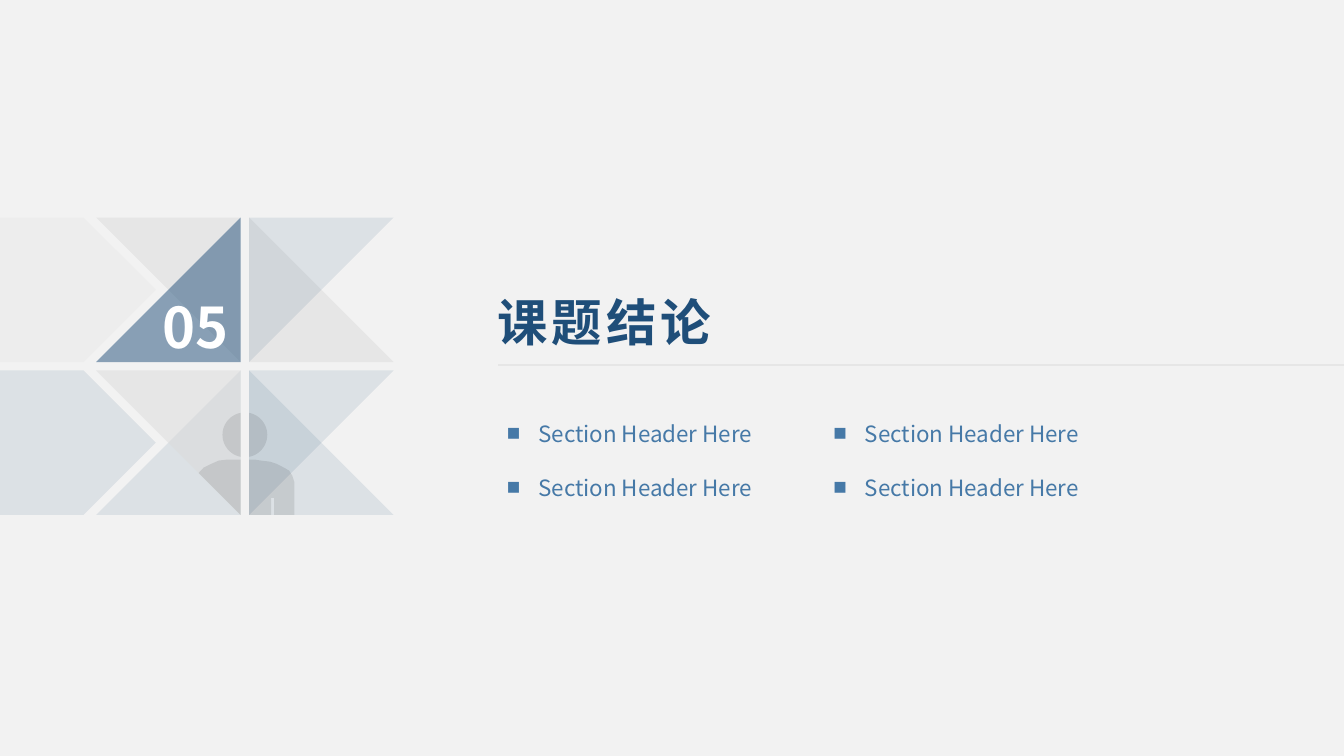
import math
import pptx
import pptx.util
import pptx.dml.color
import pptx.enum.shapes
import pptx.oxml
import pptx.oxml.ns
from lxml import etree

Pt = pptx.util.Pt
qn = pptx.oxml.ns.qn


class Theme:
    back, navy, blue, white = "F2F2F2", "1F4E79", "4679A7", "FFFFFF"
    pale, gray, mist, dark, rule = "D9D9D9", "7F7F7F", "DBDBDB", "0D0D0D", "E6E6E6"
    font = "Noto Sans CJK SC"
    title, number, item = 36, 40, 16


TILE, GAP = 103.2, 6
STEP = TILE + GAP

# Corners of a tile, in tile units
NW, NE, SE, SW = (0, 0), (1, 0), (1, 1), (0, 1)
# Column, row, corners, colour, opacity in percent
FACETS = [
    (0, 0, (SE, NW, NE), Theme.gray, 10),
    (0, 0, (NE, SW, SE), Theme.navy, 50),
    (1, 0, (SE, NW, SW), Theme.gray, 10),
    (1, 0, (SW, NE, NW), Theme.navy, 10),
    (0, 1, (SW, NE, SE), Theme.navy, 10),
    (0, 1, (SE, NW, NE), Theme.mist, 50),
    (1, 1, (SW, NE, NW), Theme.navy, 10),
    (1, 1, (NW, SE, SW), Theme.navy, 10),
]
# Halves of the figure's body, in points from the tile's corner
BODY = [
    [(73.2, 73.2), (76.7, 69.5), (82.5, 66.6), (87.5, 64.4), (93.3, 63.7),
     (TILE, 63.7), (TILE, TILE)],
    [(0, 63.7), (4.3, 63.7), (8.6, 64.4), (15.1, 65.2), (19.4, 66.6),
     (25.1, 69.5), (28.7, 71.6), (30.9, 75.2), (32.3, 79.6), (32.3, TILE),
     (17.9, TILE), (17.9, 91.1), (15.8, 91.1), (15.8, TILE), (0, TILE)],
]


def rgb(code):
    return pptx.dml.color.RGBColor.from_string(code)


def patch(shapes, spots, color, alpha):
    """Draw a closed, see-through outline."""
    spots = [(Pt(x), Pt(y)) for x, y in spots]
    pen = shapes.build_freeform(*spots[0], scale=1.0)
    pen.add_line_segments(spots[1:], close=True)
    shape = pen.convert_to_shape()
    shape.shadow.inherit = False
    shape.line.fill.background()
    shape.fill.solid()
    shape.fill.fore_color.rgb = rgb(color)
    tint = shape.fill._xPr.find(".//" + qn("a:srgbClr"))
    etree.SubElement(tint, qn("a:alpha")).set("val", str(alpha * 1000))


def label(slide, box, lines, size, color, bold=False, gap=0, mark=None):
    """Write a text box, with square bullets when a mark is given."""
    frame = slide.shapes.add_textbox(*map(Pt, box)).text_frame
    frame.word_wrap = True
    for i, line in enumerate(lines):
        para = frame.paragraphs[0] if i == 0 else frame.add_paragraph()
        para.text = line
        if mark:
            para.line_spacing = 2.0
            props = para._p.get_or_add_pPr()
            props.set("marL", str(Pt(22.5)))
            props.set("indent", str(-Pt(22.5)))
            etree.SubElement(props, qn("a:buFont")).set("typeface", "Arial")
            etree.SubElement(props, qn("a:buChar")).set("char", mark)
        font = para.font
        font.size, font.bold = Pt(size), bold
        font.color.rgb = rgb(color)
        font.name = Theme.font
        look = font._rPr
        etree.SubElement(look, qn("a:ea")).set("typeface", Theme.font)
        if gap:
            look.set("spc", str(gap * 100))


def mosaic(slide, left, top, number):
    shapes = slide.shapes.add_group_shape().shapes

    # Arrow bands from the slide's edge
    for row, (color, alpha) in enumerate([(Theme.pale, 20), (Theme.navy, 10)]):
        y, neck, edge = top + row * STEP, left - 9, -0.7
        patch(shapes, [(neck, y), (edge, y), (edge, y + TILE), (neck, y + TILE),
                       (neck + TILE / 2, y + TILE / 2)], color, alpha)

    # Triangles
    for col, row, ends, color, alpha in FACETS:
        x, y = left + col * STEP, top + row * STEP
        patch(shapes, [(x + u * TILE, y + v * TILE) for u, v in ends], color, alpha)

    # Figure, split by the gap between columns
    mid, high, size = left + TILE + GAP / 2, top + STEP + 46, 16
    reach = math.acos(GAP / 2 / size)
    for col, side in enumerate((-1, 1)):
        turns = [reach * k / 12 for k in range(-12, 13)]
        patch(shapes, [(mid + side * size * math.cos(t), high + size * math.sin(t))
                       for t in turns], Theme.dark, 10)
        patch(shapes, [(left + col * STEP + x, top + STEP + y) for x, y in BODY[col]],
              Theme.dark, 10)

    # Section number
    label(slide, (left + 40, top + 49.8, 72, 55.4), [number],
          Theme.number, Theme.white, bold=True)


def heading(slide, left, top, right, title):
    line = slide.shapes.add_connector(
        pptx.enum.shapes.MSO_CONNECTOR.STRAIGHT,
        Pt(left + 8), Pt(top + 56.2), Pt(right), Pt(top + 56.2))
    line.line.color.rgb = rgb(Theme.rule)
    line.line.width = Pt(1.5)
    etree.SubElement(line._element.spPr, qn("a:effectLst"))
    label(slide, (left, top, 401, 51), [title],
          Theme.title, Theme.navy, bold=True, gap=3)


def topics(slide, left, top, columns):
    for col, lines in enumerate(columns):
        label(slide, (left + col * 233.2, top, 225, 79), lines,
              Theme.item, Theme.blue, mark="■")


def main():
    deck = pptx.Presentation()
    deck.slide_width, deck.slide_height = Pt(960), Pt(540)
    slide = deck.slides.add_slide(deck.slide_layouts[6])
    slide.background.fill.solid()
    slide.background.fill.fore_color.rgb = rgb(Theme.back)
    mosaic(slide, 68.7, 155.4, "05")
    heading(slide, 348, 204.5, 960, "课题结论")
    topics(slide, 355, 277.2, [["Section Header Here"] * 2] * 2)
    deck.save("out.pptx")


if __name__ == "__main__":
    main()
